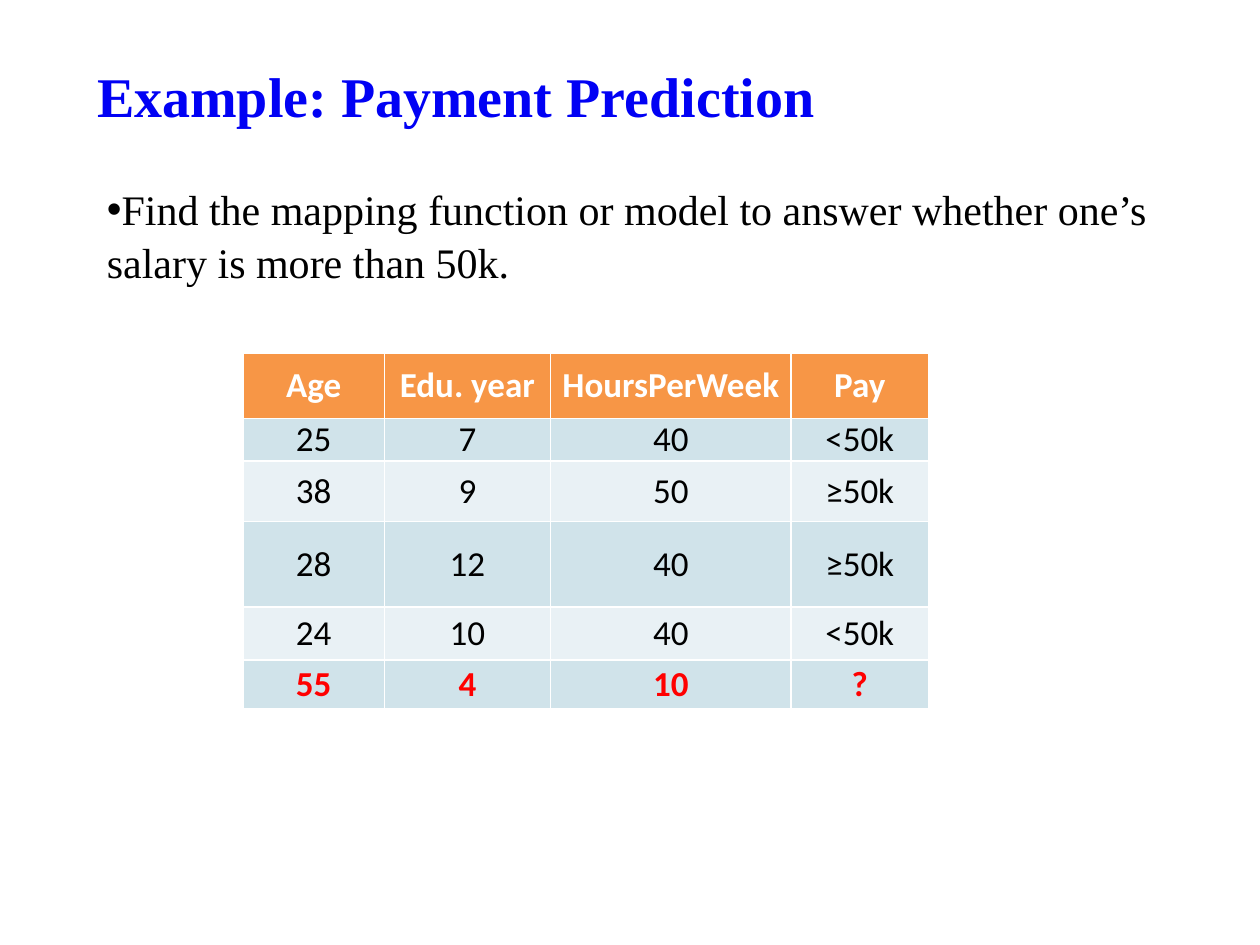
import pptx
import pptx.util
import pptx.dml.color
import pptx.enum.text
import lxml.etree

WIDE, HIGH = 10, 7.5
COLS = [1.12, 1.32, 1.91, 1.09]
ROWS = [0.52, 0.34, 0.48, 0.68, 0.42, 0.39]
DATA = [
    ["Age", "Edu. year", "HoursPerWeek", "Pay"],
    ["25", "7", "40", "<50k"],
    ["38", "9", "50", "≥50k"],
    ["28", "12", "40", "≥50k"],
    ["24", "10", "40", "<50k"],
    ["55", "4", "10", "?"],
]
LEFT = pptx.enum.text.PP_ALIGN.LEFT
MID = pptx.enum.text.PP_ALIGN.CENTER
SERIF = "Times New Roman"


def tint(ink, code):
    """Give a font colour or a fill a hex colour."""
    if hasattr(ink, "solid"):
        ink.solid()
        ink.fore_color.rgb = pptx.dml.color.RGBColor.from_string(code)
    else:
        ink.rgb = pptx.dml.color.RGBColor.from_string(code)


def setall(item, form):
    """Set each attribute named in a dict of format values."""
    for name, value in form.items():
        setattr(item, name, value)


def write(frame, text, font, para, code):
    """Put one formatted paragraph in a text frame."""
    line = frame.paragraphs[0]
    setall(line, para)
    run = line.add_run()
    run.text = text
    setall(run.font, font)
    tint(run.font.color, code)
    return line


def add_title(slide, text):
    """Place and format the title."""
    shape = slide.shapes.title
    box = dict(left=0.67, top=0.44, width=9.06, height=0.52)
    setall(shape, {k: pptx.util.Inches(v) for k, v in box.items()})
    setall(shape.text_frame, dict(
        word_wrap=True, auto_size=pptx.enum.text.MSO_AUTO_SIZE.NONE,
        vertical_anchor=pptx.enum.text.MSO_ANCHOR.TOP))
    write(shape.text_frame, text,
          dict(name=SERIF, size=pptx.util.Pt(32), bold=True),
          dict(alignment=LEFT, space_before=pptx.util.Pt(5)), "0101F4")


def add_point(slide, text):
    """Add the bulleted task statement."""
    box = [pptx.util.Inches(v) for v in (0.75, 1.39, 8.98, 1.02)]
    frame = slide.shapes.add_textbox(*box).text_frame
    frame.word_wrap = True
    line = write(frame, text, dict(name=SERIF, size=pptx.util.Pt(24)),
                 dict(alignment=LEFT, line_spacing=1.05,
                      space_before=pptx.util.Pt(2)), "000000")
    props = line._p.get_or_add_pPr()
    space = pptx.oxml.ns.qn("a:buFont")
    lxml.etree.SubElement(props, space, typeface="Arial")
    lxml.etree.SubElement(props, pptx.oxml.ns.qn("a:buChar"), char="•")


def style(row):
    """Return fill, text colour and weight for a table row."""
    if row == 0:
        return "F79646", "FFFFFF", True
    fill = "D0E3EA" if row % 2 else "E9F1F5"
    last = row == len(DATA) - 1
    return fill, "FF0000" if last else "000000", last


def add_grid(slide):
    """Add the table of people and their pay."""
    box = [pptx.util.Inches(v) for v in (1.93, 2.8, sum(COLS), sum(ROWS))]
    table = slide.shapes.add_table(len(ROWS), len(COLS), *box).table
    for col, size in zip(table.columns, COLS):
        col.width = pptx.util.Inches(size)
    for row, size in zip(table.rows, ROWS):
        row.height = pptx.util.Inches(size)
    side = pptx.util.Inches(0.07)
    for r, texts in enumerate(DATA):
        fill, code, bold = style(r)
        for c, text in enumerate(texts):
            cell = table.cell(r, c)
            setall(cell, dict(
                margin_left=side, margin_right=side, margin_top=0,
                margin_bottom=0,
                vertical_anchor=pptx.enum.text.MSO_ANCHOR.MIDDLE))
            tint(cell.fill, fill)
            write(cell.text_frame, text,
                  dict(name="Calibri", size=pptx.util.Pt(20), bold=bold),
                  dict(alignment=MID), code)


def main():
    """Build and save the slide."""
    deck = pptx.Presentation()
    setall(deck, dict(slide_width=pptx.util.Inches(WIDE),
                      slide_height=pptx.util.Inches(HIGH)))
    slide = deck.slides.add_slide(deck.slide_layouts[5])
    add_title(slide, "Example: Payment Prediction")
    add_point(slide, "Find the mapping function or model to answer whether "
              "one’s salary is more than 50k.")
    add_grid(slide)
    deck.save("out.pptx")


if __name__ == "__main__":
    main()
